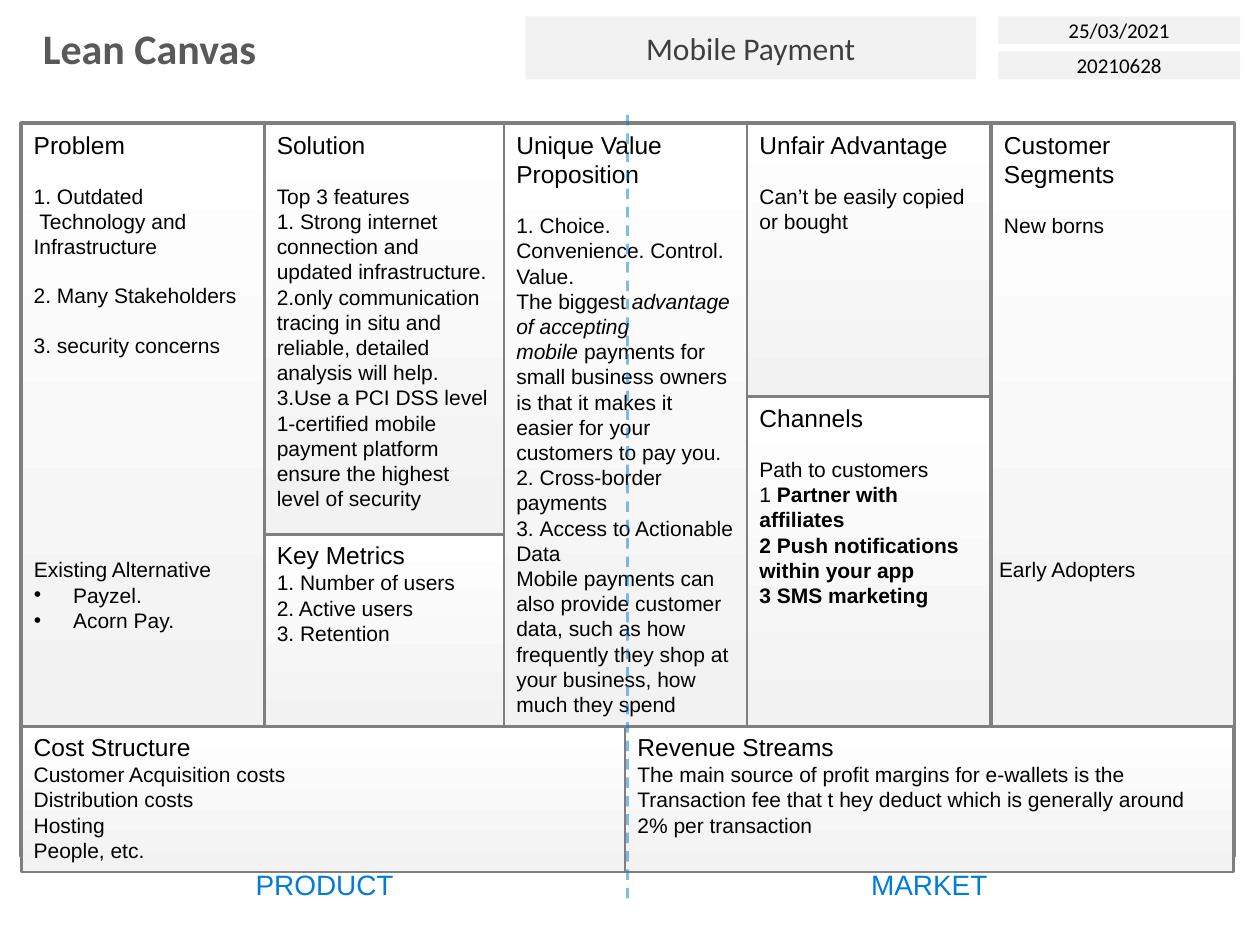
"""Build a Lean Canvas slide for a mobile payment product."""
import pptx
import pptx.dml.color
import pptx.enum.dml
import pptx.enum.shapes
import pptx.enum.text
import pptx.oxml.ns
import pptx.util
from lxml import etree

Cm, Pt = pptx.util.Cm, pptx.util.Pt
RGBColor = pptx.dml.color.RGBColor
MSO_SHAPE = pptx.enum.shapes.MSO_SHAPE
PP_ALIGN = pptx.enum.text.PP_ALIGN
MSO_ANCHOR = pptx.enum.text.MSO_ANCHOR
qn = pptx.oxml.ns.qn

BLACK = RGBColor(0x00, 0x00, 0x00)
WHITE = RGBColor(0xFF, 0xFF, 0xFF)
PALE = RGBColor(0xF2, 0xF2, 0xF2)
BORDER = RGBColor(0x7F, 0x7F, 0x7F)
TITLE_GREY = RGBColor(0x59, 0x59, 0x59)
NAME_GREY = RGBColor(0x3F, 0x3F, 0x3F)
BLUE = RGBColor(0x00, 0x7D, 0xDA)

BLANK_LINE = 13.8
COLUMNS = [0.43, 5.33, 10.16, 15.06, 19.99]
COLUMN_WIDTH = 4.9
TOP, BASE, FOOT = 2.49, 14.64, 17.58
MIDDLE = 12.6
RIGHT = 24.87
METRICS_TOP, CHANNELS_TOP, NOTES_TOP = 10.77, 8.0, 11.1

PROBLEM = ["1.\u00a0Outdated\v\u00a0Technology and Infrastructure",
           "2. Many Stakeholders", "3.\u00a0security concerns"]
SOLUTION = [
    "Top 3 features",
    "1. Strong internet connection and updated infrastructure.",
    "2.only communication tracing in situ and reliable, detailed analysis will help.",
    "3.Use a PCI DSS level 1-certified mobile payment platform ensure the highest "
    "level of security"]
METRICS = ["1. Number of users", "2. Active users", "3. Retention"]
VALUE = [
    "1.\u00a0Choice. Convenience. Control. Value.",
    [("The biggest\u00a0", ""), ("advantage of accepting mobile", "italic"),
     ("\u00a0payments for small business owners is that it makes it easier for your "
      "customers to pay you.", "")],
    "2.\u00a0Cross-border payments",
    "3.\u00a0Access to Actionable Data",
    "Mobile payments can also provide customer data, such as how frequently they "
    "shop at your business, how much they spend"]
CHANNELS = [
    "Path to customers",
    [("1", ""), ("\u00a0Partner with affiliates", "bold")],
    [("2 Push notifications within your app", "bold")],
    [("3 SMS marketing", "bold")]]
COSTS = ["Customer Acquisition costs", "Distribution costs", "Hosting", "People, etc."]
REVENUE = ["The main source of\u00a0profit margins for\u00a0e-wallets is the Transaction "
           "fee that t hey deduct which is generally around 2% per transaction"]


def place(shape, left, top, width, height):
    """Move and size a shape in centimetres."""
    shape.left, shape.top = Cm(left), Cm(top)
    shape.width, shape.height = Cm(width), Cm(height)


def write(paragraph, content, size, color=BLACK, font="Arial", align=PP_ALIGN.LEFT):
    """Fill a paragraph with a string or a list of styled pieces."""
    if isinstance(content, str):
        paragraph.text = content
    else:
        for words, style in content:
            run = paragraph.add_run()
            run.text = words
            if style:
                setattr(run.font, style, True)
    paragraph.alignment = align
    paragraph.font.size = Pt(size)
    paragraph.font.name = font
    paragraph.font.color.rgb = color


def add_panel(slide, kind, left, top, width, height, line=0):
    """Add an unfilled, shadowless shape with an optional border."""
    panel = slide.shapes.add_shape(kind, Cm(left), Cm(top), Cm(width), Cm(height))
    panel.shadow.inherit = False
    panel.fill.background()
    if kind == MSO_SHAPE.ROUNDED_RECTANGLE:
        panel.adjustments[0] = 0
    if line:
        panel.line.color.rgb = BORDER
        panel.line.width = Pt(line)
    else:
        panel.line.fill.background()
    panel.text_frame.vertical_anchor = MSO_ANCHOR.TOP
    return panel


def add_block(slide, left, top, width, height, heading, lines, lead=0, gap=0):
    """Add a canvas block with a heading and its lines."""
    block = add_panel(slide, MSO_SHAPE.ROUNDED_RECTANGLE, left, top, width, height, 1.5)
    block.fill.gradient()
    block.fill.gradient_angle = 90
    for stop, color in zip(block.fill.gradient_stops, (PALE, WHITE)):
        stop.color.rgb = color
    frame = block.text_frame
    write(frame.paragraphs[0], heading, 14)
    for index, content in enumerate(lines):
        paragraph = frame.add_paragraph()
        write(paragraph, content, 12)
        paragraph.space_before = Pt(gap if index else lead)


def add_tag(slide, left, top, width, height, words, size, color):
    """Add a pale header field with centred text."""
    tag = add_panel(slide, MSO_SHAPE.RECTANGLE, left, top, width, height)
    tag.fill.solid()
    tag.fill.fore_color.rgb = PALE
    tag.text_frame.vertical_anchor = MSO_ANCHOR.MIDDLE
    write(tag.text_frame.paragraphs[0], words, size, color, "Calibri", PP_ALIGN.CENTER)


def add_label(slide, left, width, words):
    """Add a blue label below the canvas."""
    label = slide.shapes.add_textbox(Cm(left), Cm(17.37), Cm(width), Cm(0.94))
    label.text_frame.word_wrap = True
    write(label.text_frame.paragraphs[0], words, 16, BLUE, align=PP_ALIGN.CENTER)


def add_divider(slide):
    """Add the half-transparent dashed line between product and market."""
    divider = slide.shapes.add_connector(
        pptx.enum.shapes.MSO_CONNECTOR.STRAIGHT, Cm(12.65), Cm(18.11), Cm(12.65), Cm(2.18))
    divider.line.color.rgb = BLUE
    divider.line.width = Pt(1.5)
    divider.line.dash_style = pptx.enum.dml.MSO_LINE.DASH
    properties = divider._element.spPr
    color = properties.find(".//" + qn("a:srgbClr"))
    etree.SubElement(color, qn("a:alpha"), val="50000")
    etree.SubElement(properties, qn("a:effectLst"))


def set_title(slide):
    """Place and format the slide title."""
    title = slide.shapes.title
    place(title, 0.61, 0.33, 4.88, 1.27)
    frame = title.text_frame
    frame.word_wrap = False
    frame.auto_size = pptx.enum.text.MSO_AUTO_SIZE.NONE
    frame.vertical_anchor = MSO_ANCHOR.TOP
    write(frame.paragraphs[0], "Lean Canvas", 24, TITLE_GREY, "Calibri")
    frame.paragraphs[0].font.bold = True


def set_alternatives(slide):
    """Fill the body placeholder with the existing alternatives, above the blocks."""
    alternatives = slide.placeholders[1]
    place(alternatives, COLUMNS[0], NOTES_TOP, COLUMN_WIDTH, 2.44)
    frame = alternatives.text_frame
    frame.auto_size = pptx.enum.text.MSO_AUTO_SIZE.NONE
    for index, words in enumerate(["Existing Alternative", "Payzel.", "Acorn\u00a0Pay."]):
        paragraph = frame.add_paragraph() if index else frame.paragraphs[0]
        write(paragraph, words, 12)
        paragraph.space_before = Pt(0)
        properties = paragraph._p.get_or_add_pPr()
        indent = Cm(0.79) if index else 0
        properties.set("marL", str(indent))
        properties.set("indent", str(-indent))
        bullet = etree.Element(qn("a:buChar"), char="•") if index else etree.Element(qn("a:buNone"))
        properties.find(qn("a:defRPr")).addprevious(bullet)
    slide.shapes._spTree.append(alternatives._element)


def main():
    """Build and save the slide."""
    deck = pptx.Presentation()
    deck.slide_width, deck.slide_height = Cm(25.4), Cm(19.05)
    slide = deck.slides.add_slide(deck.slide_layouts[1])
    set_title(slide)
    add_panel(slide, MSO_SHAPE.ROUNDED_RECTANGLE, COLUMNS[0], TOP, 24.44, 14.76, 3)
    add_tag(slide, 10.59, 0.33, 9.09, 1.27, "Mobile Payment", 18, NAME_GREY)
    for top, words in ((0.33, "25/03/2021"), (1.04, "20210628")):
        add_tag(slide, 20.12, top, 4.88, 0.56, words, 12, BLACK)

    for left, right, heading, lines in (
            (COLUMNS[0], MIDDLE, "Cost Structure", COSTS),
            (MIDDLE, RIGHT, "Revenue Streams", REVENUE)):
        add_block(slide, left, BASE, right - left, FOOT - BASE, heading, lines)
    for column, top, bottom, heading, lines, lead, gap in (
            (0, TOP, BASE, "Problem", PROBLEM, BLANK_LINE, BLANK_LINE),
            (1, TOP, METRICS_TOP, "Solution", SOLUTION, BLANK_LINE, 0),
            (1, METRICS_TOP, BASE, "Key Metrics", METRICS, 0, 0),
            (2, TOP, BASE, "Unique Value Proposition", VALUE, BLANK_LINE, 0),
            (3, TOP, CHANNELS_TOP, "Unfair Advantage",
             ["Can’t be easily copied or bought"], BLANK_LINE, 0),
            (3, CHANNELS_TOP, BASE, "Channels", CHANNELS, BLANK_LINE, 0),
            (4, TOP, BASE, "Customer Segments", ["New borns"], BLANK_LINE, 0)):
        add_block(slide, COLUMNS[column], top, COLUMN_WIDTH, bottom - top,
                  heading, lines, lead, gap)

    add_label(slide, 4.88, 3.33, "PRODUCT")
    add_label(slide, 17.3, 2.87, "MARKET")
    add_divider(slide)
    set_alternatives(slide)
    adopters = add_panel(slide, MSO_SHAPE.ROUNDED_RECTANGLE, 19.89, NOTES_TOP, COLUMN_WIDTH, 3.35)
    write(adopters.text_frame.paragraphs[0], "Early Adopters", 12)
    deck.save("out.pptx")


main()
